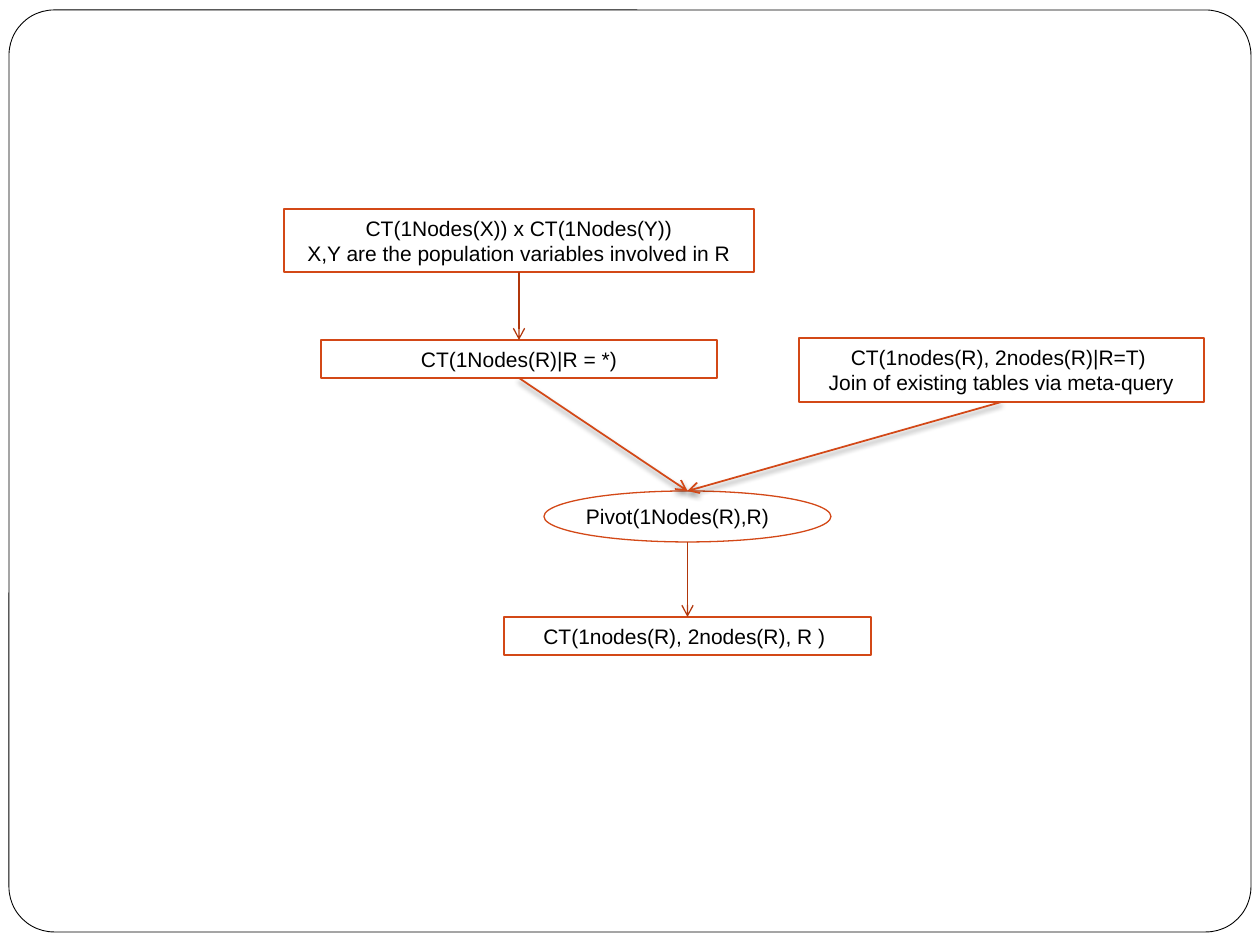
from dataclasses import dataclass

from lxml.etree import SubElement
from pptx import Presentation
from pptx.dml.color import RGBColor
from pptx.enum.shapes import MSO_CONNECTOR, MSO_SHAPE
from pptx.enum.text import MSO_ANCHOR, PP_ALIGN
from pptx.oxml.ns import qn
from pptx.util import Emu, Pt

PX_PER_INCH = 126


def px(n):
    return Emu(round(n * 914400 / PX_PER_INCH))


@dataclass(frozen=True)
class Theme:
    paper: RGBColor = RGBColor(0xFF, 0xFF, 0xFF)
    ink: RGBColor = RGBColor(0, 0, 0)
    accent: RGBColor = RGBColor(0xD3, 0x48, 0x17)
    dark_accent: RGBColor = RGBColor(0xB1, 0x36, 0x0B)
    font: str = "Arial"
    text_size: Pt = Pt(12)
    frame_line: Pt = Pt(0.5)
    thin_line: Pt = Pt(0.75)
    bold_line: Pt = Pt(1)


class FlowSlide:
    def __init__(self, prs, theme):
        self.theme = theme
        self.s = prs.slides.add_slide(prs.slide_layouts[6])

    def outline(self, kind, box, color, width):
        sp = self.s.shapes.add_shape(kind, *map(px, box))
        sp.shadow.inherit = False
        sp.fill.background()
        sp.line.color.rgb = color
        sp.line.width = width
        return sp

    def frame(self, box, radius):
        t = self.theme
        sp = self.outline(MSO_SHAPE.ROUNDED_RECTANGLE, box, t.ink, t.frame_line)
        sp.adjustments[0] = radius
        sp.fill.solid()
        sp.fill.fore_color.rgb = t.paper

    def node(self, box, lines, kind=MSO_SHAPE.RECTANGLE, align=PP_ALIGN.CENTER):
        t = self.theme
        sp = self.outline(kind, box, t.accent, t.thin_line)
        tf = sp.text_frame
        layout = dict(margin_left=0, margin_top=0, margin_right=0, margin_bottom=0,
                      vertical_anchor=MSO_ANCHOR.MIDDLE, word_wrap=True)
        for name, value in layout.items():
            setattr(tf, name, value)
        for i, line in enumerate(lines):
            p = tf.add_paragraph() if i else tf.paragraphs[0]
            p.alignment = align
            r = p.add_run()
            r.text = line
            for name, value in dict(name=t.font, size=t.text_size).items():
                setattr(r.font, name, value)
            r.font.color.rgb = t.ink
        return sp

    def arrow(self, upper, lower, merging=False):
        """Arrow from the bottom centre of one node to the top centre of another."""
        t = self.theme
        cx = self.s.shapes.add_connector(
            MSO_CONNECTOR.STRAIGHT,
            upper.left + upper.width // 2, upper.top + upper.height,
            lower.left + lower.width // 2, lower.top)
        cx.line.color.rgb = t.accent if merging else t.dark_accent
        cx.line.width = t.bold_line if merging else t.thin_line
        SubElement(cx.line._get_or_add_ln(), qn("a:tailEnd"), type="arrow")
        effects = SubElement(cx._element.spPr, qn("a:effectLst"))
        if merging:
            shadow = SubElement(effects, qn("a:outerShdw"), blurRad=str(Pt(3)),
                                dist=str(Pt(2)), dir=str(90 * 60000), rotWithShape="0")
            color = SubElement(shadow, qn("a:srgbClr"), val=str(t.ink))
            SubElement(color, qn("a:alpha"), val="50000")


def main():
    prs = Presentation()
    prs.slide_width, prs.slide_height = px(1260), px(945)
    s = FlowSlide(prs, Theme())

    # Rounded page frame
    s.frame((9, 10, 1242, 922), 0.049)

    # Input tables
    product = s.node((284, 209, 470, 63), [
        "CT(1Nodes(X)) x CT(1Nodes(Y))",
        "X,Y are the population variables involved in R"])
    any_r = s.node((321, 340, 396, 38), ["CT(1Nodes(R)|R = *)"])
    true_r = s.node((799, 338, 405, 64), [
        "CT(1nodes(R), 2nodes(R)|R=T) ",
        "Join of existing tables via meta-query"])

    # Pivot step and its result
    pivot = s.node((544, 491, 287, 51), ["Pivot(1Nodes(R),R)"],
                   MSO_SHAPE.OVAL, PP_ALIGN.LEFT)
    result = s.node((504, 617, 367, 38), ["CT(1nodes(R), 2nodes(R), R ) "])

    # Flow
    s.arrow(product, any_r)
    s.arrow(true_r, pivot, merging=True)
    s.arrow(any_r, pivot, merging=True)
    s.arrow(pivot, result)

    prs.save("out.pptx")


if __name__ == "__main__":
    main()
